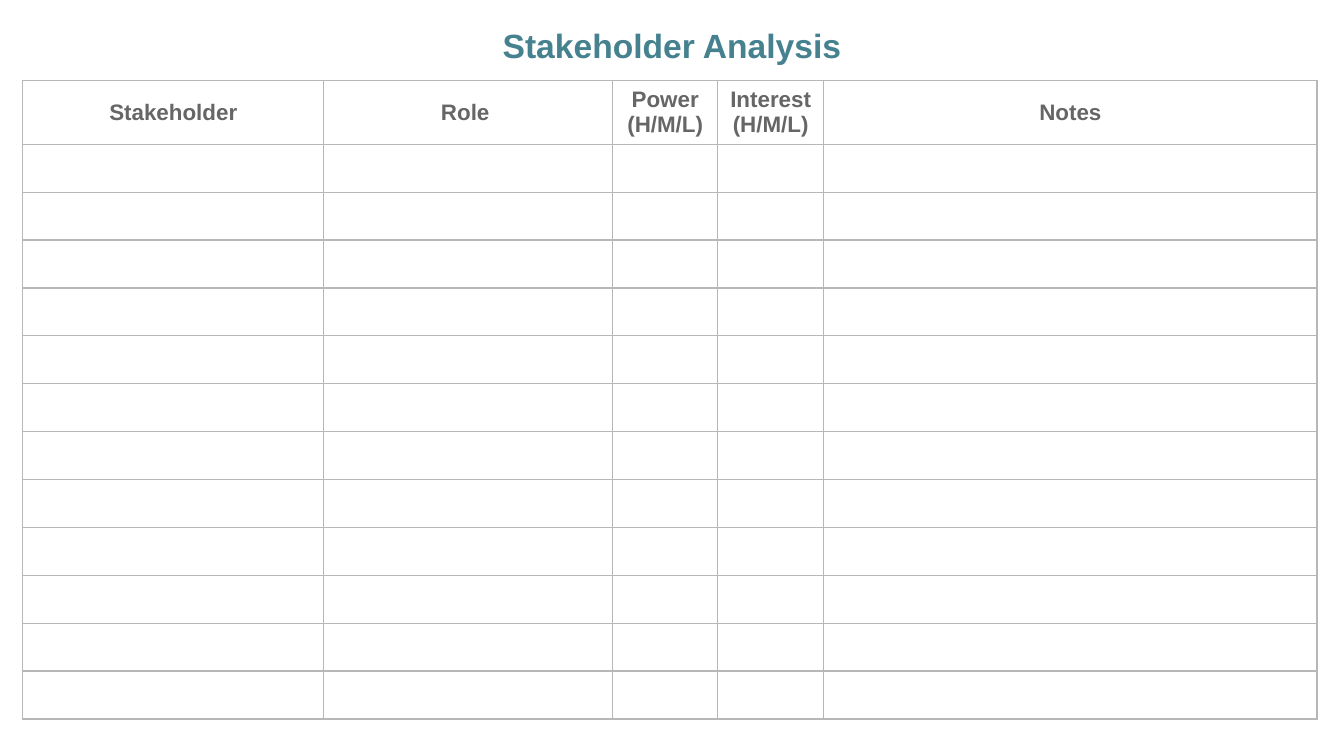
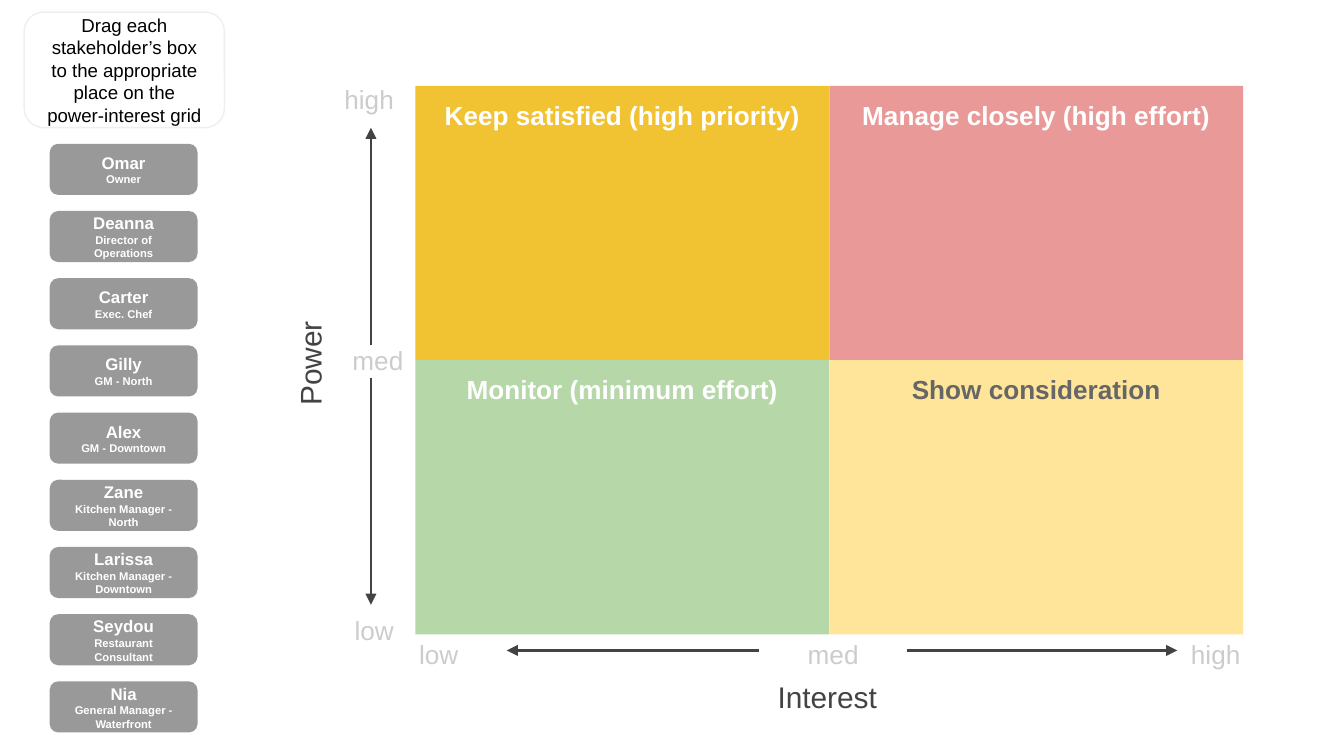
from dataclasses import dataclass
from typing import Any, Optional

from lxml.etree import SubElement
from pptx import Presentation
from pptx.dml.color import RGBColor
from pptx.enum.shapes import MSO_CONNECTOR, MSO_SHAPE
from pptx.enum.text import MSO_ANCHOR, MSO_AUTO_SIZE, PP_ALIGN
from pptx.oxml import parse_xml
from pptx.oxml.ns import nsdecls, qn
from pptx.util import Inches, Pt

# Shared colours and text format
FONT = "Arial"
WHITE = RGBColor(0xFF, 0xFF, 0xFF)
BLACK = RGBColor(0x00, 0x00, 0x00)
TEAL = RGBColor(0x45, 0x81, 0x8E)
TEXT_GRAY = RGBColor(0x66, 0x66, 0x66)
AXIS_GRAY = RGBColor(0x43, 0x43, 0x43)
SCALE_GRAY = RGBColor(0xCC, 0xCC, 0xCC)
CARD_GRAY = RGBColor(0x99, 0x99, 0x99)
OUTLINE_GRAY = RGBColor(0xEF, 0xEF, 0xEF)
BORDER_GRAY = RGBColor(0xB7, 0xB7, 0xB7)
GOLD = RGBColor(0xF1, 0xC2, 0x32)
ROSE = RGBColor(0xEA, 0x99, 0x99)
GREEN = RGBColor(0xB6, 0xD7, 0xA8)
YELLOW = RGBColor(0xFF, 0xE5, 0x99)

# Widescreen slide, 16 by 9
SLIDE_WIDTH = Inches(10)
SLIDE_HEIGHT = SLIDE_WIDTH * 9 // 16

FRAME_FORMAT = {
    "word_wrap": True,
    "auto_size": MSO_AUTO_SIZE.NONE,
    "margin_left": Inches(0.1),
    "margin_right": Inches(0.1),
    "margin_top": Inches(0.1),
    "margin_bottom": Inches(0.1),
}
CELL_FORMAT = {
    "vertical_anchor": MSO_ANCHOR.MIDDLE,
    "margin_left": Inches(0.07),
    "margin_right": Inches(0.07),
    "margin_top": Inches(0.05),
    "margin_bottom": Inches(0.05),
}
TITLE_ONLY, BLANK = 5, 6
TOP, MIDDLE = MSO_ANCHOR.TOP, MSO_ANCHOR.MIDDLE
CENTER, RIGHT = PP_ALIGN.CENTER, PP_ALIGN.RIGHT

# Slide 1: table columns and rows
COLUMNS = [
    ("Stakeholder", 2.24),
    ("Role ", 2.15),
    ("Power (H/M/L)", 0.78),
    ("Interest (H/M/L)", 0.79),
    ("Notes", 3.67),
]
EMPTY_ROWS = 12
TABLE_HEIGHT = 4.78
HEADER_HEIGHT = Inches(0.28)
ROW_HEIGHT = Inches(4.28 / EMPTY_ROWS)

# Slide 2: grid and cards
GRID_LEFT, GRID_TOP = 3.09, 0.64
CELL_WIDTH, CELL_HEIGHT = 3.08, 2.04
CARD_TOP, CARD_STEP = 1.07, 0.5


@dataclass(frozen=True)
class TextStyle:
    size: float
    color: RGBColor
    bold: bool = False
    align: PP_ALIGN = CENTER
    anchor: MSO_ANCHOR = TOP


@dataclass(frozen=True)
class Box:
    left: float
    top: float
    width: float
    height: float

    def lengths(self) -> tuple:
        return tuple(map(Inches, (self.left, self.top, self.width, self.height)))


@dataclass(frozen=True)
class Label:
    text: str
    box: Box
    style: TextStyle
    rotation: int = 0


@dataclass(frozen=True)
class Quadrant:
    text: str
    fill: RGBColor
    color: RGBColor = WHITE


@dataclass(frozen=True)
class Stakeholder:
    name: str
    role: str


@dataclass(frozen=True)
class Arrow:
    start: tuple
    end: tuple
    start_join: Optional[tuple] = None
    end_join: Optional[tuple] = None


TITLE_STYLE = TextStyle(18, TEAL, True)
HEADER_STYLE = TextStyle(12, TEXT_GRAY, True)
AXIS_STYLE = TextStyle(16, AXIS_GRAY)
AXIS_MIDDLE_STYLE = TextStyle(16, AXIS_GRAY, anchor=MIDDLE)
SCALE_STYLE = TextStyle(14, SCALE_GRAY)
SCALE_RIGHT_STYLE = TextStyle(14, SCALE_GRAY, align=RIGHT)
HINT_STYLE = TextStyle(10, BLACK, anchor=MIDDLE)
NAME_STYLE = TextStyle(9, WHITE, True, anchor=MIDDLE)
ROLE_SIZE = 6

QUADRANTS = [
    Quadrant("Keep satisfied (high priority)", GOLD),
    Quadrant("Manage closely (high effort)", ROSE),
    Quadrant("Monitor (minimum effort)", GREEN),
    Quadrant("Show consideration", YELLOW, TEXT_GRAY),
]
LABELS = {
    "power": Label("Power", Box(1.39, 2.53, 1.83, 0.35), AXIS_MIDDLE_STYLE, 270),
    "power high": Label("high", Box(1.7, 0.52, 1.33, 0.26), SCALE_RIGHT_STYLE),
    "power med": Label("med", Box(2.42, 2.46, 0.68, 0.44), SCALE_RIGHT_STYLE),
    "power low": Label("low", Box(1.7, 4.47, 1.33, 0.26), SCALE_RIGHT_STYLE),
    "interest": Label("Interest", Box(5.41, 4.95, 1.49, 0.47), AXIS_STYLE),
    "interest low": Label("low", Box(2.76, 4.65, 1.01, 0.38), SCALE_STYLE),
    "interest med": Label("med", Box(5.65, 4.65, 1.1, 0.38), SCALE_STYLE),
    "interest high": Label("high", Box(8.54, 4.65, 1.01, 0.38), SCALE_STYLE),
}
ARROWS = [
    Arrow((2.76, 2.57), (2.76, 0.95)),
    Arrow((2.76, 2.81), (2.76, 4.5)),
    Arrow((6.75, 4.84), (8.76, 4.84), start_join=("interest med", 3)),
    Arrow((5.65, 4.84), (3.77, 4.84), ("interest med", 1), ("interest low", 3)),
]
STAKEHOLDERS = [
    Stakeholder("Omar", "Owner"),
    Stakeholder("Deanna", "Director of Operations"),
    Stakeholder("Carter", "Exec. Chef"),
    Stakeholder("Gilly", "GM - North"),
    Stakeholder("Alex", "GM - Downtown"),
    Stakeholder("Zane", "Kitchen Manager - North"),
    Stakeholder("Larissa", "Kitchen Manager - Downtown"),
    Stakeholder("Seydou", "Restaurant Consultant"),
    Stakeholder("Nia", "General Manager - Waterfront"),
]


def apply_format(target: Any, values: dict) -> None:
    for name, value in values.items():
        setattr(target, name, value)


def write_paragraph(paragraph: Any, text: str, style: TextStyle,
                    size: Optional[float] = None) -> None:
    paragraph.alignment = style.align
    run = paragraph.add_run()
    run.text = text
    apply_format(run.font, {"name": FONT, "size": Pt(size or style.size), "bold": style.bold})
    run.font.color.rgb = style.color


def write_text(shape: Any, text: str, style: TextStyle) -> None:
    frame = shape.text_frame
    apply_format(frame, {**FRAME_FORMAT, "vertical_anchor": style.anchor})
    write_paragraph(frame.paragraphs[0], text, style)


def draw_shape(slide: Any, kind: MSO_SHAPE, box: Box, text: str, style: TextStyle,
               fill: Optional[RGBColor] = None, line: Optional[RGBColor] = None) -> Any:
    shape = slide.shapes.add_shape(kind, *box.lengths())
    shape.shadow.inherit = False
    if fill is None:
        shape.fill.background()
    else:
        shape.fill.solid()
        shape.fill.fore_color.rgb = fill
    if line is None:
        shape.line.fill.background()
    else:
        shape.line.color.rgb = line
        shape.line.width = Pt(0.75)
    write_text(shape, text, style)
    return shape


def draw_label(slide: Any, label: Label) -> Any:
    shape = slide.shapes.add_textbox(*label.box.lengths())
    shape.rotation = label.rotation
    write_text(shape, label.text, label.style)
    return shape


def draw_arrow(slide: Any, arrow: Arrow, labels: dict) -> None:
    points = map(Inches, (*arrow.start, *arrow.end))
    connector = slide.shapes.add_connector(MSO_CONNECTOR.STRAIGHT, *points)
    connector.line.color.rgb = AXIS_GRAY
    connector.line.width = Pt(1.5)
    if arrow.start_join:
        name, side = arrow.start_join
        connector.begin_connect(labels[name], side)
    if arrow.end_join:
        name, side = arrow.end_join
        connector.end_connect(labels[name], side)
    properties = connector._element.spPr
    SubElement(properties.find(qn("a:ln")), qn("a:tailEnd"), type="triangle")
    SubElement(properties, qn("a:effectLst"))


def format_cell(cell: Any) -> None:
    apply_format(cell, CELL_FORMAT)
    cell.fill.background()
    properties = cell._tc.get_or_add_tcPr()
    for index, side in enumerate("LRTB"):
        properties.insert(index, parse_xml(
            f'<a:ln{side} {nsdecls("a")} w="{Pt(0.75)}"><a:solidFill>'
            f'<a:srgbClr val="{BORDER_GRAY}"/></a:solidFill></a:ln{side}>'))


def build_analysis(presentation: Any) -> None:
    slide = presentation.slides.add_slide(presentation.slide_layouts[TITLE_ONLY])

    # Title
    title = slide.shapes.title
    apply_format(title, dict(zip(("left", "top", "width", "height"),
                                 Box(0.83, 0.04, 8.34, 0.5).lengths())))
    write_text(title, "Stakeholder Analysis", TITLE_STYLE)
    title.text_frame.paragraphs[0].line_spacing = 1.15

    # Table
    table_frame = slide.shapes.add_table(EMPTY_ROWS + 1, len(COLUMNS),
                                         *Box(0.17, 0.6, 9.63, TABLE_HEIGHT).lengths())
    table = table_frame.table
    apply_format(table, {"first_row": False, "horz_banding": False})
    for row in table.rows:
        row.height = ROW_HEIGHT
    table.rows[0].height = HEADER_HEIGHT
    for cell in table.iter_cells():
        format_cell(cell)
    for index, (heading, width) in enumerate(COLUMNS):
        table.columns[index].width = Inches(width)
        write_paragraph(table.cell(0, index).text_frame.paragraphs[0], heading, HEADER_STYLE)
        for row in range(1, EMPTY_ROWS + 1):
            paragraph = table.cell(row, index).text_frame.paragraphs[0]
            SubElement(paragraph._p, qn("a:endParaRPr"), sz="1200")
    table_frame.height = Inches(TABLE_HEIGHT)


def build_grid(presentation: Any) -> None:
    slide = presentation.slides.add_slide(presentation.slide_layouts[BLANK])

    # Power-interest quadrants
    for index, quadrant in enumerate(QUADRANTS):
        row, column = divmod(index, 2)
        box = Box(GRID_LEFT + column * CELL_WIDTH, GRID_TOP + row * CELL_HEIGHT,
                  CELL_WIDTH, CELL_HEIGHT)
        draw_shape(slide, MSO_SHAPE.RECTANGLE, box, quadrant.text,
                   TextStyle(14, quadrant.color, True), quadrant.fill)

    # Axis labels and arrows
    labels = {name: draw_label(slide, label) for name, label in LABELS.items()}
    for arrow in ARROWS:
        draw_arrow(slide, arrow, labels)

    # Instructions and stakeholder cards
    draw_shape(slide, MSO_SHAPE.ROUNDED_RECTANGLE, Box(0.18, 0.09, 1.49, 0.86),
               "Drag each stakeholder’s box to the appropriate place on the power-interest grid",
               HINT_STYLE, line=OUTLINE_GRAY)
    for index, stakeholder in enumerate(STAKEHOLDERS):
        box = Box(0.37, CARD_TOP + index * CARD_STEP, 1.1, 0.38)
        card = draw_shape(slide, MSO_SHAPE.ROUNDED_RECTANGLE, box, stakeholder.name,
                          NAME_STYLE, CARD_GRAY)
        write_paragraph(card.text_frame.add_paragraph(), stakeholder.role, NAME_STYLE, ROLE_SIZE)


def main() -> None:
    presentation = Presentation()
    presentation.slide_width = SLIDE_WIDTH
    presentation.slide_height = SLIDE_HEIGHT
    build_analysis(presentation)
    build_grid(presentation)
    presentation.save("out.pptx")


if __name__ == "__main__":
    main()
